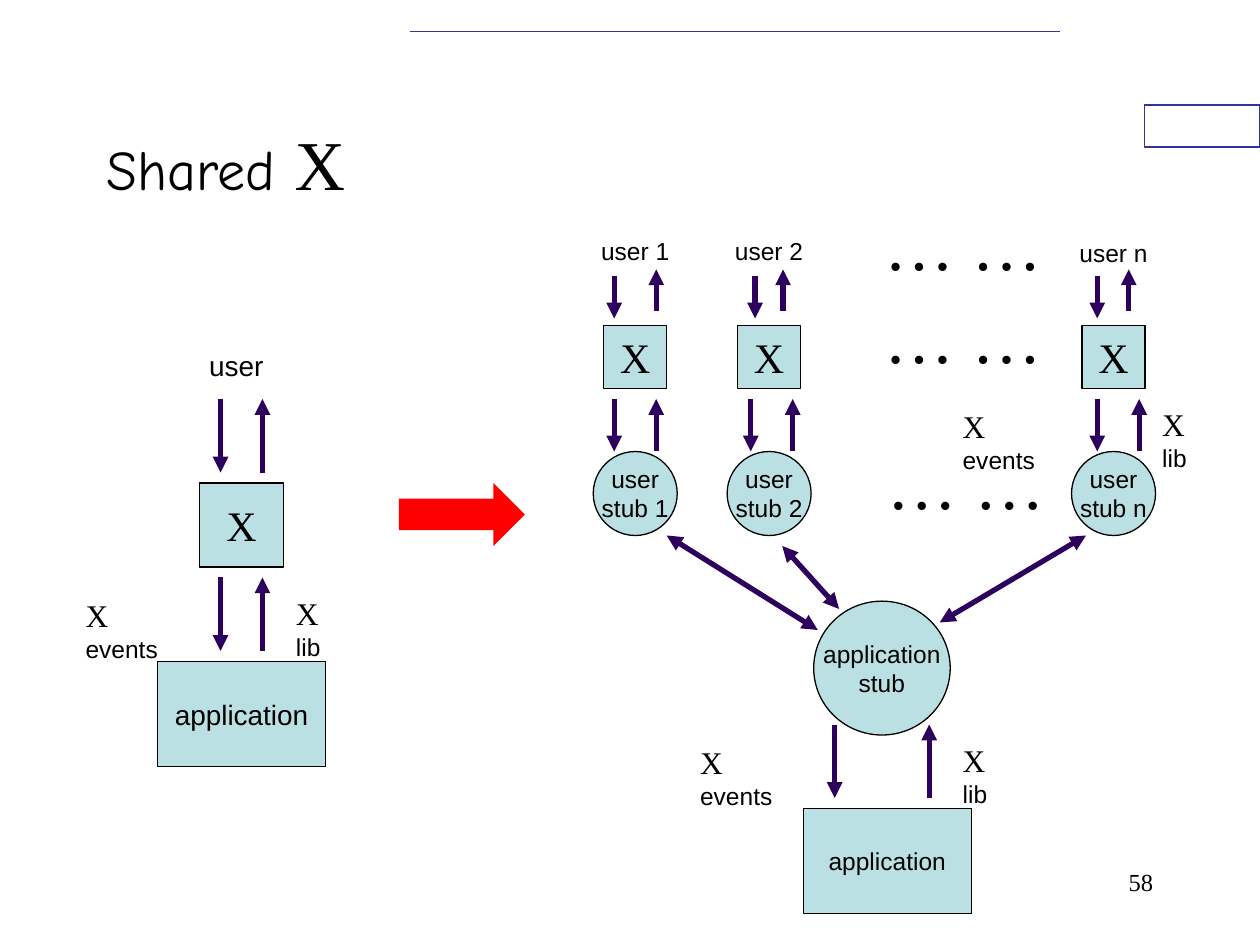
"""Build the Shared X slide: one user's X beside X shared by many users."""
from dataclasses import dataclass

from lxml import etree
from pptx import Presentation
from pptx import util as u
from pptx.dml import color
from pptx.enum import shapes, text
from pptx.oxml import ns


@dataclass(frozen=True)
class Theme:
    """Colours, fonts and type sizes."""
    ink: str = "000000"
    pale: str = "BBE0E3"
    dark: str = "2E005D"
    rule: str = "333399"
    white: str = "FFFFFF"
    red: str = "FF0000"
    sans: str = "Arial"
    serif: str = "Times New Roman"
    hand: str = "Comic Neue"
    small: int = 14
    plain: int = 16
    label: int = 18
    mark: int = 24
    title: int = 32
    large: int = 40


T = Theme()
KIND = shapes.MSO_SHAPE
SIDE = text.PP_ALIGN
MID = text.MSO_ANCHOR.MIDDLE
GROW = text.MSO_AUTO_SIZE.SHAPE_TO_FIT_TEXT


def rgb(code):
    """Turn a hex code into a colour."""
    return color.RGBColor.from_string(code)


def apply(target, looks):
    """Set each attribute named in looks."""
    for name, value in looks.items():
        setattr(target, name, value)


def style(run, face, size):
    """Give a run its font, size and ink."""
    apply(run.font, {"name": face, "size": u.Pt(size)})
    run.font.color.rgb = rgb(T.ink)


def fill_text(frame, words, face, size, looks):
    """Write words of one style and format their paragraphs."""
    frame.text = words
    for para in frame.paragraphs:
        apply(para, looks)
        for run in para.runs:
            style(run, face, size)


def add_box(slide, kind, at, fill, line=None):
    """Add a flat shape with an optional outline."""
    box = slide.shapes.add_shape(kind, *map(u.Pt, at))
    box.shadow.inherit = False
    box.fill.solid()
    box.fill.fore_color.rgb = rgb(fill)
    if line:
        box.line.color.rgb = rgb(line)
        box.line.width = u.Pt(0.75)
    else:
        box.line.fill.background()
    return box


def add_node(slide, kind, at, words, face, size):
    """Add a pale shape with centred words."""
    frame = add_box(slide, kind, at, T.pale, T.ink).text_frame
    apply(frame, {"word_wrap": False, "vertical_anchor": MID})
    fill_text(frame, words, face, size, {"alignment": SIDE.CENTER})


def add_frame(slide, at, looks):
    """Add a text box and return its frame."""
    frame = slide.shapes.add_textbox(*map(u.Pt, at)).text_frame
    apply(frame, looks)
    return frame


def add_note(slide, at, words, face, size, looks):
    """Add a text box that fits its words."""
    frame = add_frame(slide, at, {"word_wrap": False, "auto_size": GROW})
    fill_text(frame, words, face, size, looks)


def add_runs(frame, parts):
    """Write runs of mixed style in the first paragraph."""
    for words, face, size in parts:
        run = frame.paragraphs[0].add_run()
        run.text = words
        style(run, face, size)


def add_label(slide, left, top, wide, word):
    """Add a label that begins with a large X."""
    frame = add_frame(slide, (left, top, wide, 28.8),
                      {"word_wrap": False, "auto_size": GROW})
    add_runs(frame, [("X", T.serif, T.label), (" ", T.serif, T.small),
                     (word, T.sans, T.small)])


def add_line(slide, start, end, ends=(), ink=T.dark, width=3):
    """Add a straight line with triangles at the named ends."""
    line = slide.shapes.add_connector(
        shapes.MSO_CONNECTOR.STRAIGHT, *map(u.Pt, (*start, *end)))
    line.line.color.rgb = rgb(ink)
    line.line.width = u.Pt(width)
    props = line._element.spPr
    for tag in ends:
        tip = etree.SubElement(props.find(ns.qn("a:ln")), ns.qn(f"a:{tag}"))
        tip.set("type", "triangle")
    etree.SubElement(props, ns.qn("a:effectLst"))


def add_pair(slide, xs, down, up):
    """Add a down arrow and an up arrow, each over its own span."""
    for x, (start, end) in zip(xs, (down, up)):
        add_line(slide, (x, start), (x, end), ["tailEnd"])


def add_user(slide, mid, tag, top, upper, lower):
    """Add one user with an X and a stub."""
    centre = {"alignment": SIDE.CENTER}
    add_note(slide, (mid - 26.6, top, 53.2, 24.5), f"user {tag}",
             T.sans, T.small, centre)
    add_pair(slide, upper, (157.5, 182), (178, 154))
    add_node(slide, KIND.RECTANGLE, (mid - 18, 186, 36, 36),
             "X", T.serif, T.mark)
    add_pair(slide, lower, (228, 258), (258, 228))
    add_node(slide, KIND.OVAL, (mid - 24, 258, 48, 48),
             f"user\vstub {tag}", T.sans, T.small)


def add_single(slide):
    """Add the chain from one user to the application."""
    add_note(slide, (112.3, 195.8, 45.4, 26.6), "user", T.sans, T.plain,
             {"alignment": SIDE.CENTER})
    add_node(slide, KIND.RECTANGLE, (114, 276, 48, 48),
             "X", T.serif, T.mark)
    add_node(slide, KIND.RECTANGLE, (90, 378, 96, 60),
             "application", T.sans, T.plain)
    for top in (228, 330):
        add_pair(slide, (126, 150), (top, top + 42), (top + 42, top))
    add_label(slide, 41.8, 337, 72, "events")
    add_label(slide, 162, 336, 44.6, "lib")


def add_shared(slide):
    """Add the users, their stubs and the shared application."""
    for user in ((363, "1", 131.5, (351, 375), (351, 375)),
                 (439.5, "2", 131.5, (431.5, 447.5), (429, 453)),
                 (636.3, "n", 132.5, (627, 645), (627, 651))):
        add_user(slide, *user)
    for left, top in ((498.2, 131.8), (498.2, 185), (499.7, 268.6)):
        add_note(slide, (left, top, 104.4, 31.7), "… …", T.serif, T.large,
                 {"line_spacing": 0.5})
    add_node(slide, KIND.OVAL, (465, 343.5, 78, 76.5),
             "application\nstub", T.sans, T.small)
    add_node(slide, KIND.RECTANGLE, (459, 462, 96, 60),
             "application", T.sans, T.small)
    for start, end in (((467.3, 360), (381, 306)),
                       ((479.5, 348), (447, 312)),
                       ((537, 355.7), (620.6, 306))):
        add_line(slide, start, end, ["headEnd", "tailEnd"])
    add_pair(slide, (477, 531), (414, 456), (456, 414))
    for left, top, wide, word in ((543, 229, 72, "events"),
                                  (657, 228, 44.6, "lib"),
                                  (393, 421, 72, "events"),
                                  (543, 420, 44.6, "lib")):
        add_label(slide, left, top, wide, word)


def main():
    """Build and save the slide."""
    deck = Presentation()
    apply(deck, {"slide_width": u.Pt(720), "slide_height": u.Pt(540)})
    slide = deck.slides.add_slide(deck.slide_layouts[6])
    add_box(slide, KIND.RECTANGLE, (654, 60, 66, 24), T.white, T.rule)
    add_line(slide, (234, 18), (606, 18), ink=T.rule, width=1)
    title = add_frame(slide, (54, 48, 540, 90),
                      {"word_wrap": True, "vertical_anchor": MID})
    add_runs(title, [("Shared ", T.hand, T.title), ("X", T.serif, T.large)])
    add_shared(slide)
    add_single(slide)
    add_box(slide, KIND.RIGHT_ARROW, (228, 276, 72, 36), T.red)
    page = add_frame(slide, (516, 492, 150, 36), {"word_wrap": True})
    fill_text(page, "58", T.serif, T.small, {"alignment": SIDE.RIGHT})
    deck.save("out.pptx")


if __name__ == "__main__":
    main()
